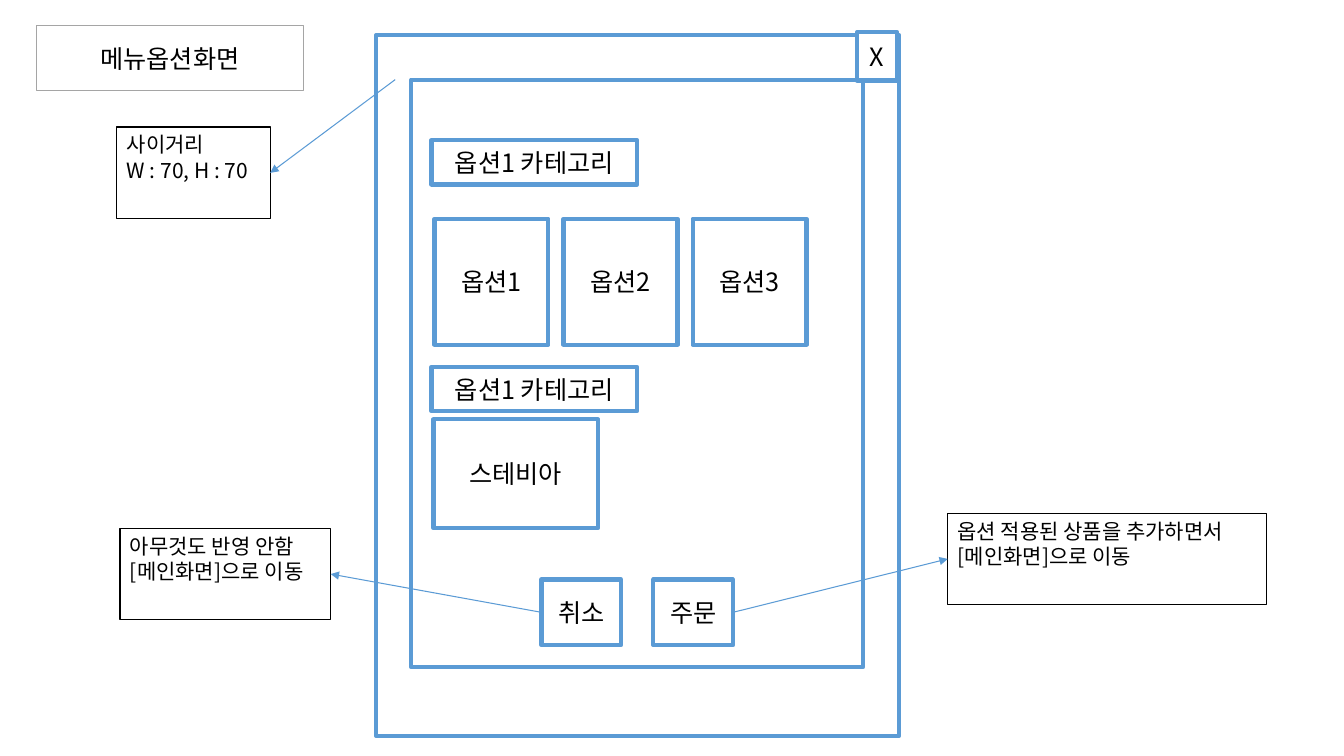
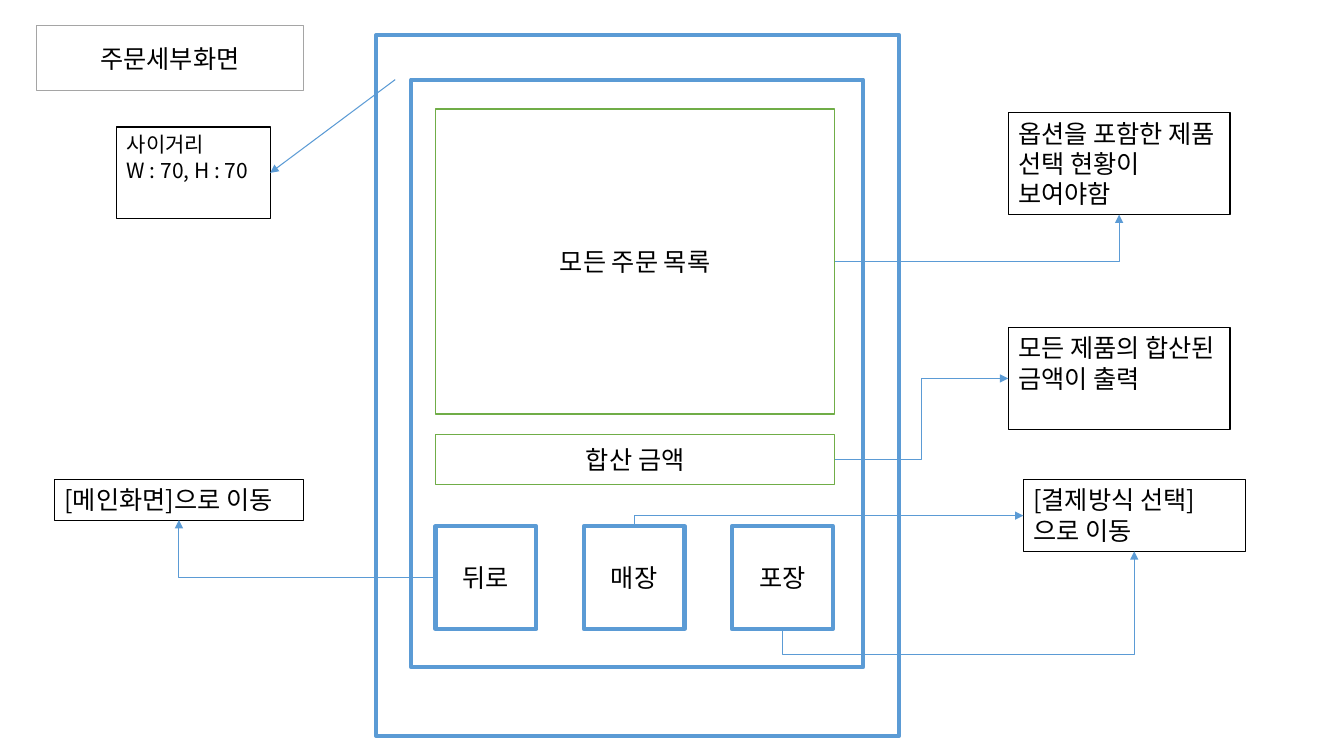
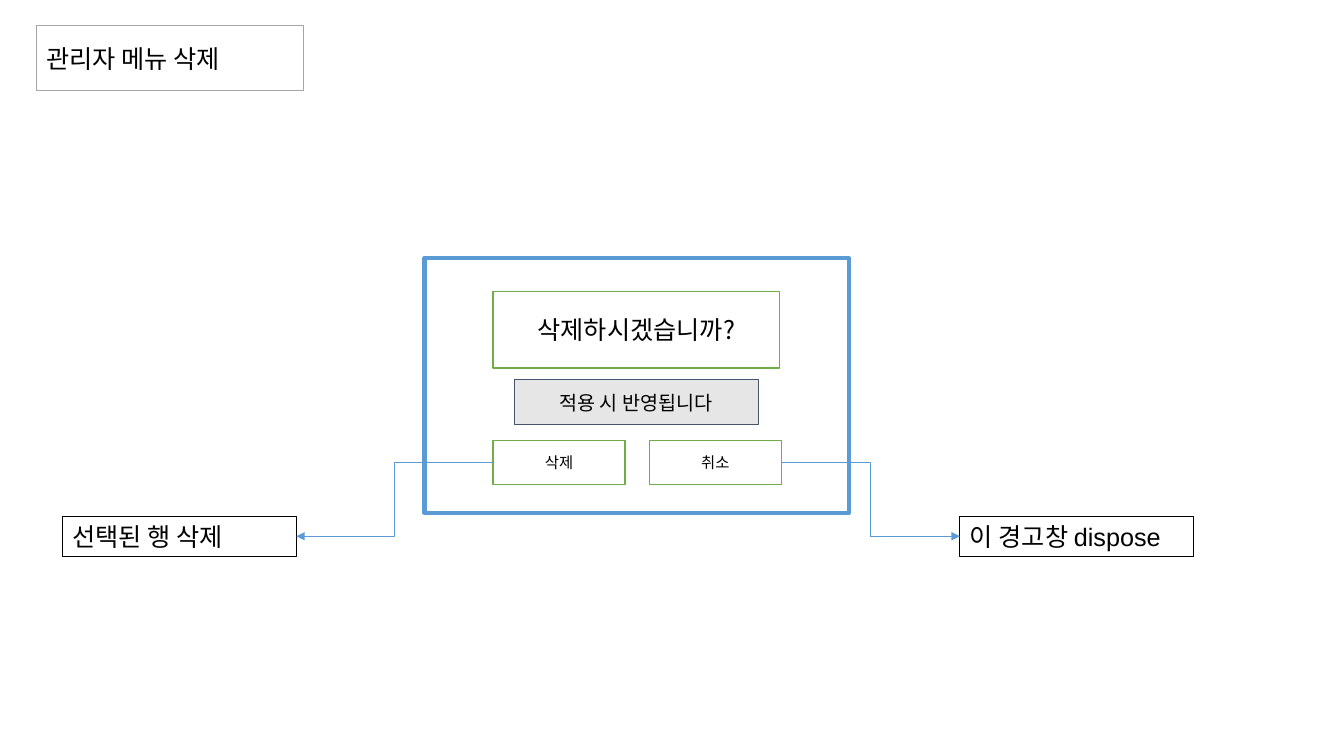
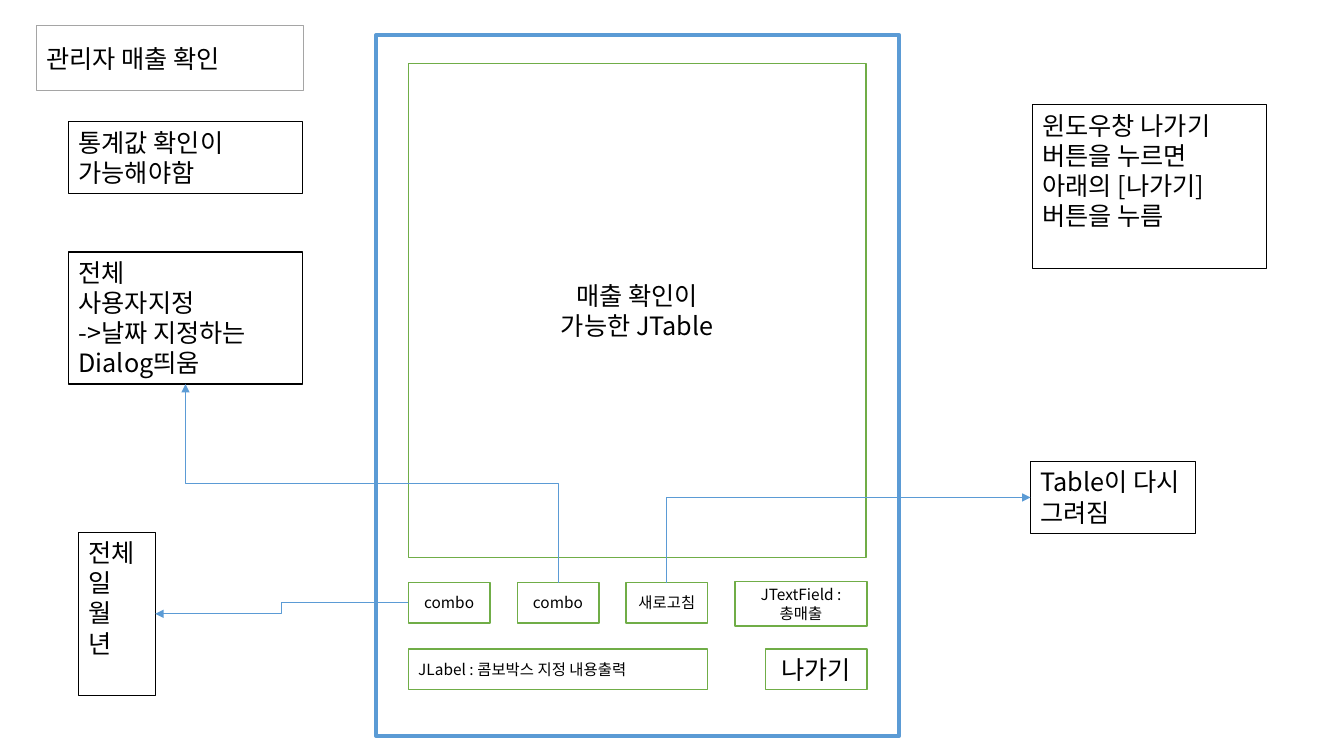
from dataclasses import dataclass

from lxml import etree
from pptx import Presentation
from pptx.dml.color import RGBColor
from pptx.enum.shapes import MSO_CONNECTOR, MSO_SHAPE
from pptx.enum.text import MSO_ANCHOR, MSO_AUTO_SIZE, PP_ALIGN
from pptx.oxml.ns import qn
from pptx.util import Inches, Pt

LEFT_ALIGN, CENTER = PP_ALIGN.LEFT, PP_ALIGN.CENTER
TOP_ANCHOR, MIDDLE = MSO_ANCHOR.TOP, MSO_ANCHOR.MIDDLE
STRAIGHT, ELBOW = MSO_CONNECTOR.STRAIGHT, MSO_CONNECTOR.ELBOW
TOP, LEFT, BOTTOM, RIGHT = range(4)  # connection sites of a rectangle


class Theme:
    font, latin = "Noto Sans CJK KR", "Arial"
    text, blue = "000000", "5B9BD5"
    body, note, banner, small = 18, 15, 14, 11
    arrow_width = 0.75
    # kind: fill, line colour, line width, alignment, anchor
    kinds = {
        "title": ("FFFFFF", "A5A5A5", 1, CENTER, MIDDLE),
        "panel": ("FFFFFF", blue, 3, CENTER, MIDDLE),
        "field": ("FFFFFF", "70AD47", 1, CENTER, MIDDLE),
        "banner": ("E7E6E6", "44546A", 0.75, CENTER, MIDDLE),
        "note": (None, "000000", 0.75, LEFT_ALIGN, TOP_ANCHOR),
    }


@dataclass
class Box:
    kind: str
    text: str
    x: float
    y: float
    w: float
    h: float
    size: int = Theme.body
    key: str = ""
    font: str = Theme.font
    align: object = None


@dataclass
class Arrow:
    start: object  # box key, or a free point (x, y)
    start_side: int
    end: str
    end_side: int
    straight: bool = False
    bend: float = 0.5


def row(kind, texts, x, y, w, h, pitch, size=Theme.body):
    """Equal boxes side by side; each key is the text and its number."""
    return [Box(kind, text, x + i * pitch, y, w, h, size, f"{text} {i}")
            for i, text in enumerate(texts)]


# Parts used on several slides
WINDOW = Box("panel", "", 3.73, 0.35, 5.19, 6.95)
CONTENT = Box("panel", "", 4.08, 0.79, 4.48, 5.83)
GAP_NOTE = Box("note", "사이거리\nW : 70, H : 70", 1.16, 1.26, 1.52, 0.91, Theme.note, "gap")
GAP_ARROW = Arrow((3.92, 0.79), LEFT, "gap", RIGHT, straight=True)

# Each slide: title, title alignment, boxes, arrows
SLIDES = [
    ("메뉴옵션화면", CENTER, [
        WINDOW, CONTENT,
        *row("panel", ["옵션1", "옵션2", "옵션3"], 4.31, 2.17, 1.13, 1.25, 1.28),
        *[Box("panel", "옵션1 카테고리", 4.28, y, 2.04, 0.44) for y in (1.39, 3.64)],
        Box("panel", "스테비아", 4.3, 4.16, 1.63, 1.08),
        *row("panel", ["취소", "주문"], 5.37, 5.75, 0.79, 0.65, 1.11),
        Box("panel", "X", 8.5, 0.32, 0.4, 0.48),
        Box("note", "옵션 적용된 상품을 추가하면서\n[메인화면]으로 이동",
            9.4, 5.09, 3.16, 0.91, Theme.note, "ordered"),
        Box("note", "아무것도 반영 안함\n[메인화면]으로 이동",
            1.19, 5.24, 2.09, 0.91, Theme.note, "cancelled"),
        GAP_NOTE,
    ], [
        Arrow("주문 1", RIGHT, "ordered", LEFT, straight=True),
        Arrow("취소 0", LEFT, "cancelled", RIGHT, straight=True),
        GAP_ARROW,
    ]),
    ("주문세부화면", CENTER, [
        WINDOW, CONTENT,
        *row("panel", ["뒤로", "매장", "포장"], 4.32, 5.22, 1, 1.02, 1.47),
        Box("field", "모든 주문 목록", 4.32, 1.08, 3.96, 3.03, key="orders"),
        Box("field", "합산 금액", 4.32, 4.31, 3.96, 0.5, key="total"),
        Box("note", "[결제방식 선택]\n으로 이동", 10.15, 4.76, 2.2, 0.71, key="payment"),
        Box("note", "[메인화면]으로 이동", 0.54, 4.76, 2.47, 0.4, key="main"),
        Box("note", "옵션을 포함한 제품 선택 현황이 보여야함", 10, 1.12, 2.2, 1.01, key="status"),
        Box("note", "모든 제품의 합산된 금액이 출력", 10, 3.25, 2.2, 1.01, key="sum"),
        GAP_NOTE,
    ], [
        Arrow("매장 1", TOP, "payment", LEFT),
        Arrow("포장 2", BOTTOM, "payment", BOTTOM, bend=-0.33),
        Arrow("뒤로 0", LEFT, "main", BOTTOM),
        Arrow("orders", RIGHT, "status", BOTTOM),
        Arrow("total", RIGHT, "sum", LEFT),
        GAP_ARROW,
    ]),
    ("관리자 메뉴 삭제", LEFT_ALIGN, [
        Box("panel", "", 4.21, 2.56, 4.21, 2.53),
        Box("field", "삭제하시겠습니까?", 4.89, 2.89, 2.84, 0.76),
        *row("field", ["삭제", "취소"], 4.89, 4.37, 1.31, 0.44, 1.55, Theme.small),
        Box("banner", "적용 시 반영됩니다", 5.1, 3.77, 2.42, 0.44, Theme.banner, font=Theme.latin),
        Box("note", "선택된 행 삭제", 0.62, 5.12, 2.32, 0.4, key="deleted", font=Theme.latin),
        Box("note", "이 경고창 dispose", 9.52, 5.12, 2.32, 0.4, key="closed", font=Theme.latin),
    ], [
        Arrow("삭제 0", LEFT, "deleted", RIGHT),
        Arrow("취소 1", RIGHT, "closed", LEFT),
    ]),
    ("관리자 매출 확인", LEFT_ALIGN, [
        WINDOW,
        Box("field", "매출 확인이\n가능한 JTable", 4.05, 0.63, 4.54, 4.9),
        *row("field", ["combo", "combo", "새로고침"], 4.05, 5.78, 0.81, 0.4, 1.08, Theme.small),
        Box("field", "JTextField : 총매출", 7.29, 5.77, 1.31, 0.44, Theme.small),
        Box("field", "JLabel : 콤보박스 지정 내용출력", 4.05, 6.44, 2.97, 0.4,
            Theme.small, align=LEFT_ALIGN),
        Box("field", "나가기", 7.59, 6.44, 1.01, 0.4),
        Box("note", "윈도우창 나가기 버튼을 누르면 아래의 [나가기]버튼을 누름", 10.24, 1.04, 2.32, 1.62),
        Box("note", "통계값 확인이 가능해야함", 0.68, 1.21, 2.32, 0.71),
        Box("note", "전체\n사용자지정\n->날짜 지정하는 Dialog띄움", 0.68, 2.5, 2.32, 1.31, key="range"),
        Box("note", "전체\n일\n월\n년", 0.78, 5.28, 0.76, 1.62, key="period"),
        Box("note", "Table이 다시 그려짐", 10.22, 4.58, 1.64, 0.71, key="redraw"),
    ], [
        Arrow("combo 0", LEFT, "period", RIGHT),
        Arrow("combo 1", TOP, "range", BOTTOM),
        Arrow("새로고침 2", TOP, "redraw", LEFT),
    ]),
]


def rgb(value):
    return RGBColor.from_string(value)


def format_box(sp, box):
    """Place a shape or title and give it the look of its kind."""
    fill, line, width, align, anchor = Theme.kinds[box.kind]
    sp.left, sp.top, sp.width, sp.height = map(Inches, (box.x, box.y, box.w, box.h))
    if fill:
        sp.fill.solid()
        sp.fill.fore_color.rgb = rgb(fill)
    else:
        sp.fill.background()
    sp.line.color.rgb = rgb(line)
    sp.line.width = Pt(width)

    tf = sp.text_frame
    tf.word_wrap = True
    tf.auto_size = MSO_AUTO_SIZE.NONE
    tf.vertical_anchor = anchor
    tf.text = box.text
    for p in tf.paragraphs:
        p.alignment = align if box.align is None else box.align
        for r in p.runs:
            r.font.size = Pt(box.size)
            r.font.name = box.font
            r.font.color.rgb = rgb(Theme.text)
            etree.SubElement(r.font._element, qn("a:ea"), typeface=Theme.font)


def add_box(s, box):
    sp = s.shapes.add_shape(MSO_SHAPE.RECTANGLE, 0, 0, 0, 0)
    sp.shadow.inherit = False
    format_box(sp, box)
    return sp


def bend_connector(c, arrow):
    """Choose the elbow from the sides it joins; turn it if it starts vertically."""
    spPr = c.element.spPr
    geom = spPr.find(qn("a:prstGeom"))
    if arrow.start_side % 2 != arrow.end_side % 2:
        geom.set("prst", "bentConnector2")
    elif arrow.bend != 0.5:
        guides = geom.find(qn("a:avLst"))
        etree.SubElement(guides, qn("a:gd"), name="adj1", fmla=f"val {round(arrow.bend * 100000)}")

    if arrow.start_side in (TOP, BOTTOM):
        dx, dy = c.end_x - c.begin_x, c.end_y - c.begin_y
        mid_x, mid_y = (c.begin_x + c.end_x) // 2, (c.begin_y + c.end_y) // 2
        c.width, c.height = abs(dy), abs(dx)
        c.left, c.top = mid_x - abs(dy) // 2, mid_y - abs(dx) // 2
        xfrm = spPr.find(qn("a:xfrm"))
        xfrm.set("rot", str((270 if dx > 0 else 90) * 60000))
        xfrm.set("flipH", str(int((dy > 0) == (dx > 0))))
        xfrm.set("flipV", "0")


def add_arrow(s, arrow, shapes):
    free = isinstance(arrow.start, tuple)
    x, y = map(Inches, arrow.start if free else (0, 0))
    c = s.shapes.add_connector(STRAIGHT if arrow.straight else ELBOW, x, y, x, y)
    if not free:
        c.begin_connect(shapes[arrow.start], arrow.start_side)
    c.end_connect(shapes[arrow.end], arrow.end_side)
    if not arrow.straight:
        bend_connector(c, arrow)
    c.line.color.rgb = rgb(Theme.blue)
    c.line.width = Pt(Theme.arrow_width)
    etree.SubElement(c.line._get_or_add_ln(), qn("a:tailEnd"), type="triangle")
    etree.SubElement(c.element.spPr, qn("a:effectLst"))


def main():
    prs = Presentation()
    prs.slide_width, prs.slide_height = Inches(13.33), Inches(7.5)
    for title, align, boxes, arrows in SLIDES:
        s = prs.slides.add_slide(prs.slide_layouts[5])
        format_box(s.shapes.title, Box("title", title, 0.36, 0.25, 2.65, 0.65, align=align))
        shapes = {}
        for box in boxes:
            shapes[box.key] = add_box(s, box)
        for arrow in arrows:
            add_arrow(s, arrow, shapes)
    prs.save("out.pptx")


if __name__ == "__main__":
    main()
